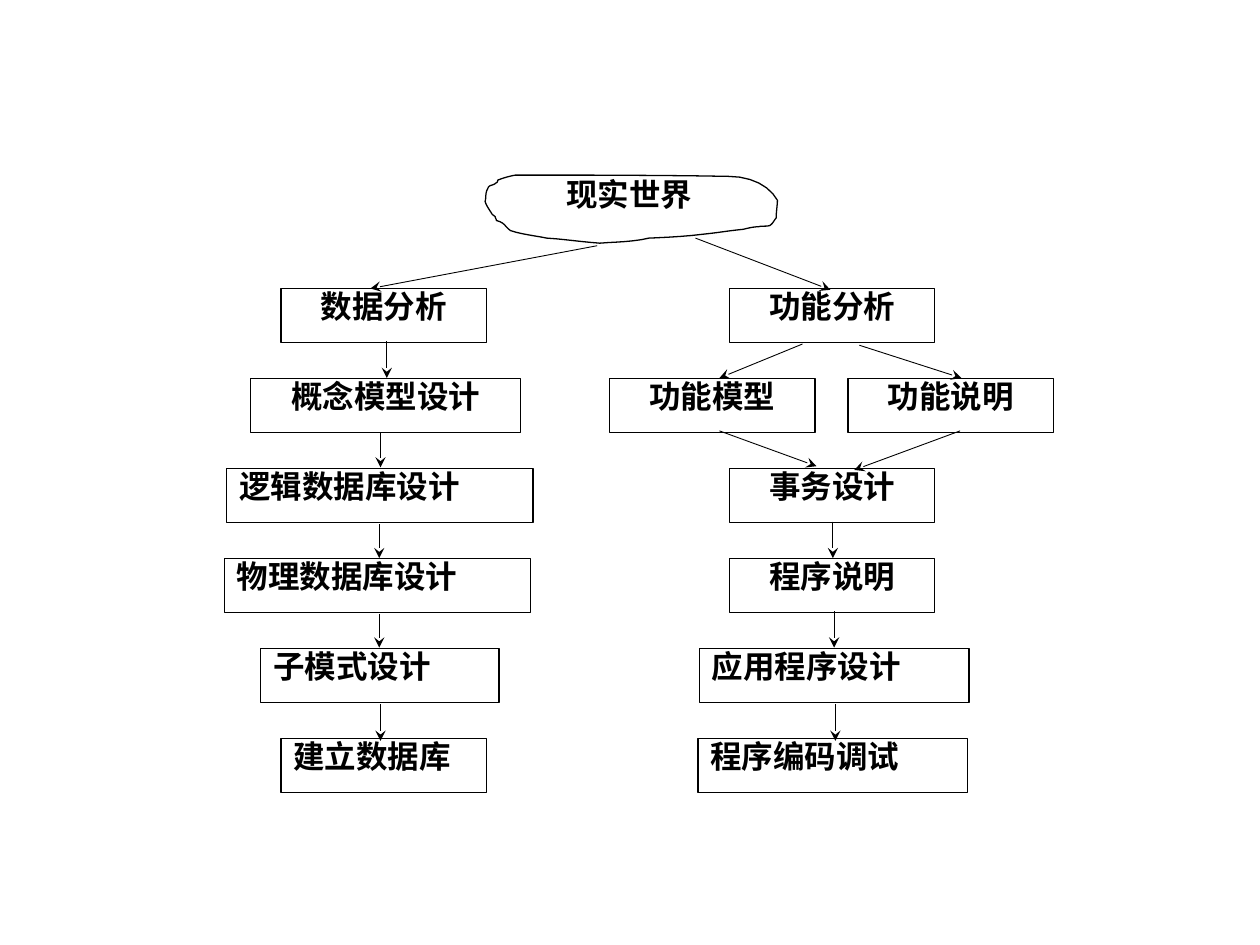
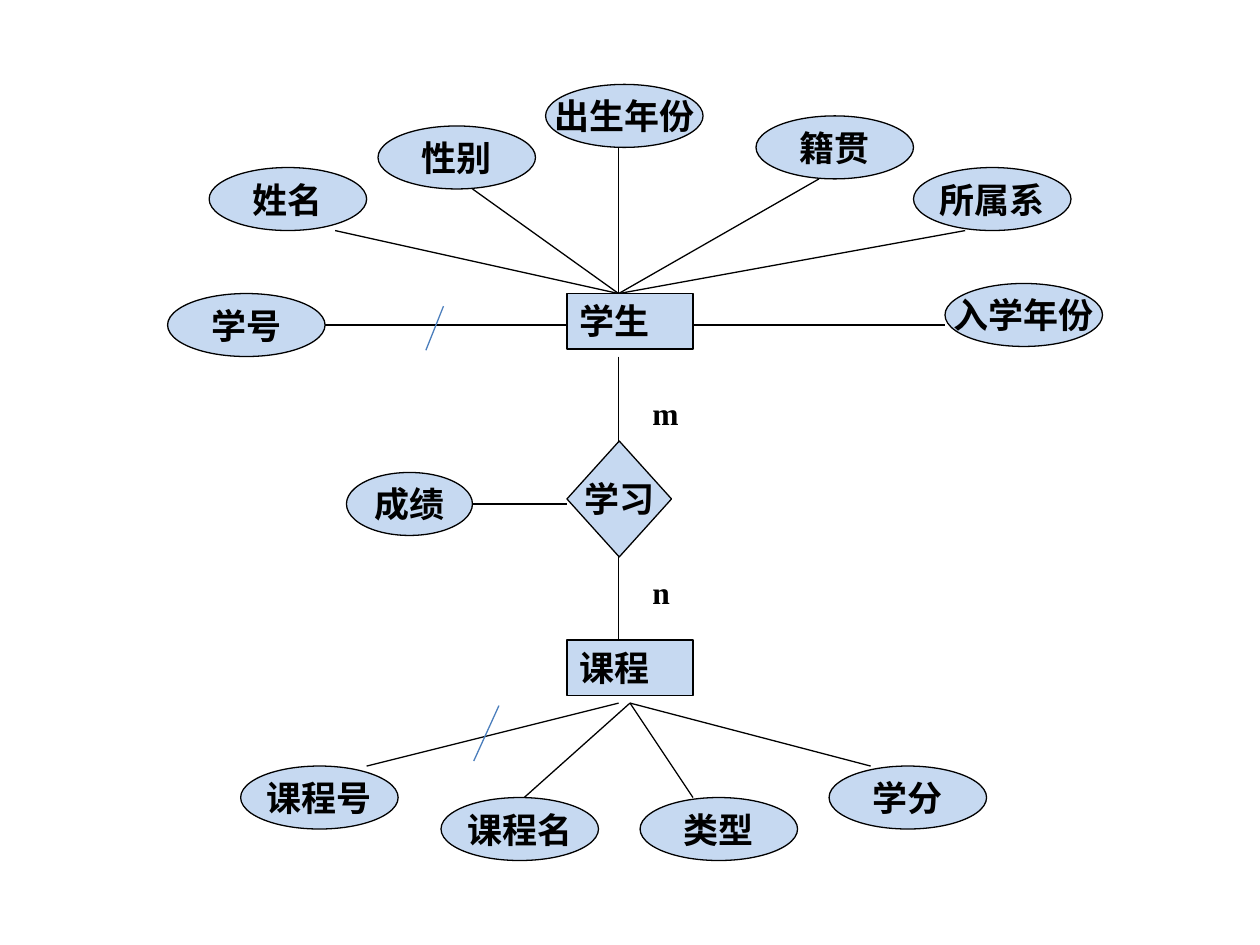
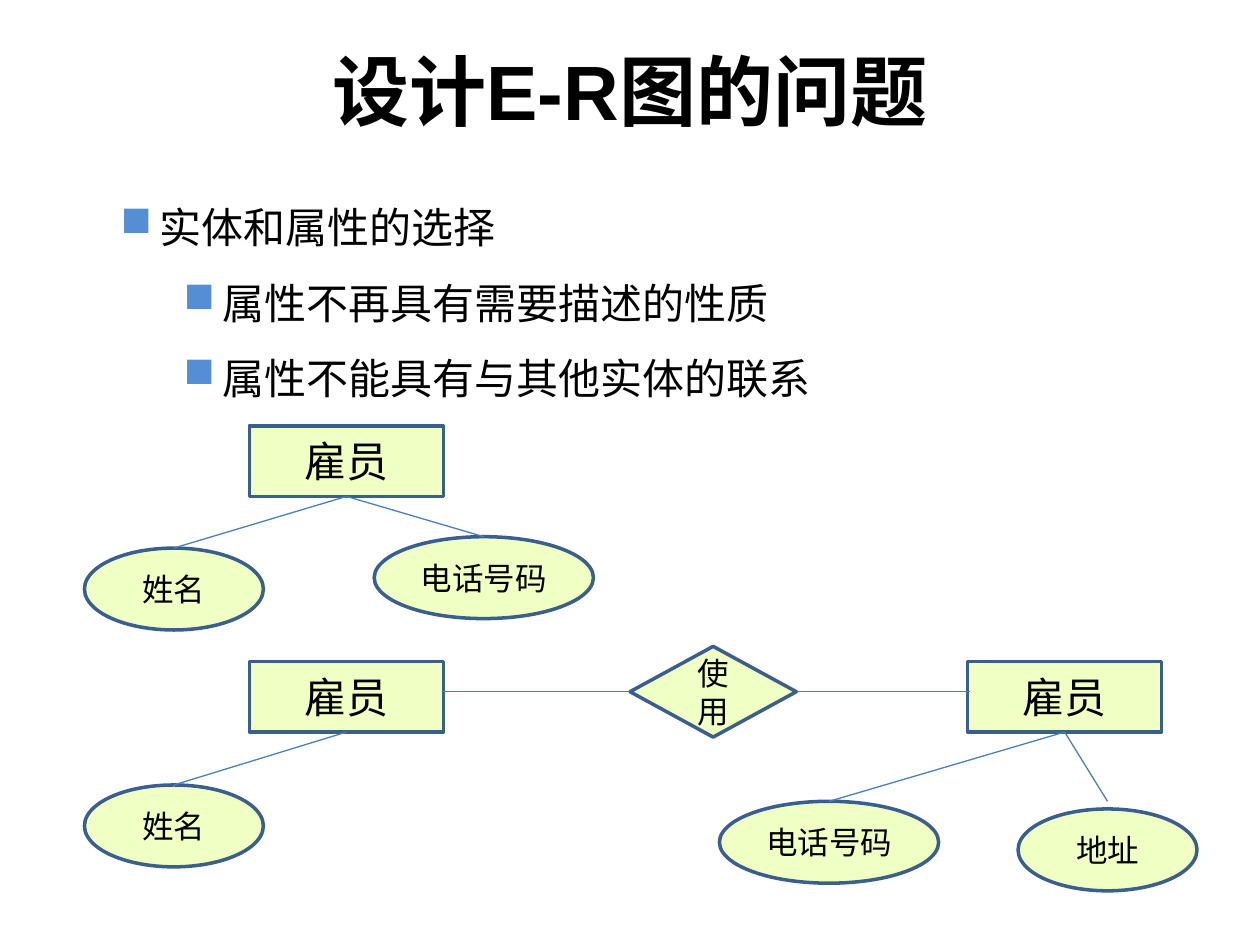
from dataclasses import dataclass, replace
from typing import NamedTuple, Optional

from lxml import etree
from pptx import Presentation
from pptx.dml.color import RGBColor
from pptx.enum.shapes import MSO_CONNECTOR, MSO_SHAPE
from pptx.enum.text import MSO_ANCHOR, PP_ALIGN
from pptx.oxml.ns import qn
from pptx.util import Inches, Pt

RECT, ELLIPSE, DIAMOND = MSO_SHAPE.RECTANGLE, MSO_SHAPE.OVAL, MSO_SHAPE.DIAMOND
STRAIGHT = MSO_CONNECTOR.STRAIGHT
LEFT, CENTER, JUSTIFY = PP_ALIGN.LEFT, PP_ALIGN.CENTER, PP_ALIGN.JUSTIFY
TOP, MIDDLE = MSO_ANCHOR.TOP, MSO_ANCHOR.MIDDLE

BLACK, BLUE, BULLET_BLUE = "000000", "4B7EBC", "558ED5"
PALE_BLUE, PALE_GREEN, NAVY = "C6D9F1", "F0FFC3", "3A5F8C"
SERIF, SANS, TITLE_FONT = "Times New Roman", "Calibri", "Arial"


class Point(NamedTuple):
    x: float
    y: float


@dataclass(frozen=True)
class TextStyle:
    font: str = SERIF
    size: int = 18
    bold: bool = False
    align: PP_ALIGN = CENTER
    anchor: MSO_ANCHOR = TOP
    spacing: float = 1.0
    wrap: bool = True


@dataclass(frozen=True)
class NodeStyle:
    text: TextStyle
    shape: MSO_SHAPE = RECT
    fill: Optional[str] = None
    line: str = BLACK
    weight: float = 0.75


@dataclass(frozen=True)
class Node:
    text: str
    left: float
    top: float
    width: float
    height: float

    @property
    def top_center(self) -> Point:
        return Point(self.left + self.width / 2, self.top)

    @property
    def bottom_center(self) -> Point:
        return Point(self.left + self.width / 2, self.top + self.height)


class Link(NamedTuple):
    start: Point
    end: Point
    weight: float = 0.75


STEP_TEXT = TextStyle(bold=True, spacing=0.8)
STEP = NodeStyle(STEP_TEXT)
STEP_JUSTIFIED = NodeStyle(replace(STEP_TEXT, align=JUSTIFY))

ER_TEXT = TextStyle(size=20, bold=True, anchor=MIDDLE, wrap=False)
ER_ENTITY = NodeStyle(TextStyle(size=20, bold=True, align=LEFT), fill=PALE_BLUE)
ER_ATTRIBUTE = NodeStyle(ER_TEXT, ELLIPSE, PALE_BLUE)
ER_RELATION = NodeStyle(ER_TEXT, DIAMOND, PALE_BLUE)
CARDINALITY = TextStyle(bold=True, align=LEFT)

ISSUE_TEXT = TextStyle(SANS, anchor=MIDDLE)
ISSUE_ENTITY = NodeStyle(replace(ISSUE_TEXT, size=24), RECT, PALE_GREEN, NAVY, 2)
ISSUE_ATTRIBUTE = NodeStyle(ISSUE_TEXT, ELLIPSE, PALE_GREEN, NAVY, 2)
ISSUE_RELATION = NodeStyle(ISSUE_TEXT, DIAMOND, PALE_GREEN, NAVY, 2)
TITLE = TextStyle(TITLE_FONT, 44, True)
BULLETS = TextStyle(size=24, align=LEFT, spacing=1.5)


def rgb(color: str) -> RGBColor:
    return RGBColor.from_string(color)


def write_paragraph(paragraph, text: str, style: TextStyle) -> None:
    paragraph.alignment = style.align
    if style.spacing != 1.0:
        paragraph.line_spacing = style.spacing
    run = paragraph.add_run()
    run.text = text
    run.font.name = style.font
    run.font.size = Pt(style.size)
    run.font.bold = style.bold
    run.font.color.rgb = rgb(BLACK)


def write_frame(frame, text: str, style: TextStyle) -> None:
    frame.word_wrap = style.wrap
    frame.vertical_anchor = style.anchor
    write_paragraph(frame.paragraphs[0], text, style)


def paint(shape, fill: Optional[str], line: str, weight: float) -> None:
    shape.shadow.inherit = False
    if fill:
        shape.fill.solid()
        shape.fill.fore_color.rgb = rgb(fill)
    else:
        shape.fill.background()
    shape.line.color.rgb = rgb(line)
    shape.line.width = Pt(weight)


def box(node: Node) -> list[int]:
    return [Inches(v) for v in (node.left, node.top, node.width, node.height)]


def add_node(slide, node: Node, style: NodeStyle) -> None:
    shape = slide.shapes.add_shape(style.shape, *box(node))
    paint(shape, style.fill, style.line, style.weight)
    write_frame(shape.text_frame, node.text, style.text)


def add_label(slide, node: Node, style: TextStyle) -> None:
    write_frame(slide.shapes.add_textbox(*box(node)).text_frame, node.text, style)


def add_link(slide, link: Link, color: str = BLACK, arrow: bool = False) -> None:
    ends = [Inches(v) for v in (*link.start, *link.end)]
    connector = slide.shapes.add_connector(STRAIGHT, *ends)
    connector.line.color.rgb = rgb(color)
    connector.line.width = Pt(link.weight)
    properties = connector._element.spPr
    if arrow:
        etree.SubElement(properties.find(qn("a:ln")), qn("a:tailEnd"), type="stealth")
    etree.SubElement(properties, qn("a:effectLst"))


def bezier(points: list[Point], steps: int = 6) -> list[Point]:
    """Sample a chain of cubic curves: a start point, then three points a curve."""
    samples = []
    for first in range(0, len(points) - 1, 3):
        controls = points[first:first + 4]
        for step in range(1, steps + 1):
            t = step / steps
            weights = ((1 - t) ** 3, 3 * t * (1 - t) ** 2, 3 * t * t * (1 - t), t ** 3)
            samples.append(Point(
                sum(w * p.x for w, p in zip(weights, controls)),
                sum(w * p.y for w, p in zip(weights, controls)),
            ))
    return samples


def add_cloud(slide, outline: list[Point]) -> None:
    start = outline[0]
    builder = slide.shapes.build_freeform(Inches(start.x), Inches(start.y))
    builder.add_line_segments([(Inches(p.x), Inches(p.y)) for p in bezier(outline)])
    paint(builder.convert_to_shape(), None, BLACK, 0.75)


def add_bullet(paragraph, text: str, level: int) -> None:
    write_paragraph(paragraph, text, BULLETS)
    paragraph.level = level
    properties = paragraph._p.get_or_add_pPr()
    properties.set("marL", str(Inches(0.31 + 0.5 * level)))
    properties.set("indent", str(Inches(-0.31)))
    color = etree.SubElement(properties, qn("a:buClr"))
    etree.SubElement(color, qn("a:srgbClr"), val=BULLET_BLUE)
    etree.SubElement(properties, qn("a:buChar"), char="■")


def build_design_flow(slide) -> None:
    outline = [Point(*p) for p in (
        (3.95, 1.43), (4, 1.41), (4.04, 1.4), (4.09, 1.39),
        (4.65, 1.39), (5.22, 1.39), (5.78, 1.4),
        (5.97, 1.4), (6.11, 1.48), (6.17, 1.59),
        (6.17, 1.63), (6.16, 1.68), (6.16, 1.73),
        (6.15, 1.74), (6.13, 1.78), (6.11, 1.79),
        (6.08, 1.8), (6.05, 1.79), (6.02, 1.8),
        (5.98, 1.8), (5.94, 1.81), (5.9, 1.82),
        (5.79, 1.83), (5.68, 1.85), (5.57, 1.86),
        (5.43, 1.88), (5.15, 1.89), (5.15, 1.89),
        (5.03, 1.92), (4.89, 1.92), (4.76, 1.93),
        (4.62, 1.92), (4.49, 1.9), (4.34, 1.89),
        (4.24, 1.87), (4.14, 1.86), (4.05, 1.83),
        (4, 1.79), (4.01, 1.77), (3.94, 1.75),
        (3.94, 1.74), (3.93, 1.73), (3.93, 1.72),
        (3.92, 1.71), (3.9, 1.7), (3.9, 1.69),
        (3.88, 1.66), (3.86, 1.63), (3.85, 1.6),
        (3.86, 1.57), (3.85, 1.53), (3.87, 1.5),
        (3.88, 1.46), (3.91, 1.48), (3.94, 1.45),
        (3.95, 1.45), (3.95, 1.43), (3.95, 1.43),
    )]
    add_cloud(slide, outline)
    add_label(slide, Node("现实世界", 4.21, 1.4, 1.57, 0.52), STEP_TEXT)

    steps = [  # text, row, left, width, style
        ("数据分析", 0, 2.23, 1.63, STEP),
        ("概念模型设计", 1, 1.99, 2.14, STEP),
        ("逻辑数据库设计", 2, 1.8, 2.43, STEP_JUSTIFIED),
        ("物理数据库设计", 3, 1.78, 2.43, STEP_JUSTIFIED),
        ("子模式设计", 4, 2.07, 1.89, STEP_JUSTIFIED),
        ("建立数据库", 5, 2.23, 1.63, STEP_JUSTIFIED),
        ("功能分析", 0, 5.79, 1.63, STEP),
        ("功能模型", 1, 4.84, 1.63, STEP),
        ("功能说明", 1, 6.73, 1.63, STEP),
        ("事务设计", 2, 5.79, 1.63, STEP),
        ("程序说明", 3, 5.79, 1.63, STEP),
        ("应用程序设计", 4, 5.55, 2.14, STEP_JUSTIFIED),
        ("程序编码调试", 5, 5.54, 2.14, STEP_JUSTIFIED),
    ]
    first_row, last_row = 2.29, 5.86
    row_pitch = (last_row - first_row) / 5
    for text, row, left, width, style in steps:
        add_node(slide, Node(text, left, first_row + row * row_pitch, width, 0.43), style)

    branches = [
        ((4.74, 1.95), (2.94, 2.29)), ((5.52, 1.89), (6.59, 2.3)),
        ((6.37, 2.73), (5.71, 3)), ((6.82, 2.74), (7.63, 3)),
        ((5.71, 3.42), (6.48, 3.7)), ((7.62, 3.42), (6.78, 3.73)),
    ]
    drops = [  # x, top, bottom
        (3.07, 2.71, 3), (3.02, 3.44, 3.71), (3.01, 4.16, 4.43),
        (3.01, 4.87, 5.14), (3.02, 5.59, 5.88),
        (6.61, 4.14, 4.43), (6.62, 4.85, 5.14),
    ]
    links = [Link(Point(*start), Point(*end), 0.5) for start, end in branches]
    links += [Link(Point(x, top), Point(x, bottom), 0.5) for x, top, bottom in drops]
    links.append(Link(Point(6.63, 5.59), Point(6.63, 5.88)))
    for link in links:
        add_link(slide, link, arrow=True)


def build_student_course(slide) -> None:
    student, course, course_left = Point(4.91, 2.33), Point(5, 5.58), Point(4.91, 5.58)
    attributes = [  # text, left, top, link start, link end
        ("学号", 1.33, 2.33, (4.5, 2.58), (2.58, 2.58)),
        ("姓名", 1.66, 1.33, student, (2.66, 1.83)),
        ("性别", 3, 1, student, (3.75, 1.5)),
        ("出生年份", 4.33, 0.67, student, (4.91, 1.17)),
        ("籍贯", 6, 0.92, student, (6.5, 1.42)),
        ("所属系", 7.25, 1.33, student, (7.66, 1.83)),
        ("入学年份", 7.5, 2.25, (5.5, 2.58), (7.5, 2.58)),
        ("课程号", 1.91, 6.08, course_left, (2.91, 6.08)),
        ("课程名", 3.5, 6.33, course, (4.16, 6.33)),
        ("类型", 5.08, 6.33, course, (5.5, 6.33)),
        ("学分", 6.58, 6.08, course, (6.91, 6.08)),
    ]
    for text, left, top, start, end in attributes:
        add_link(slide, Link(Point(*start), Point(*end)))
        add_node(slide, Node(text, left, top, 1.25, 0.5), ER_ATTRIBUTE)

    for start, end in (((4.91, 2.83), (4.91, 3.5)), ((4.91, 4.42), (4.91, 5.08)),
                       ((3.75, 4), (4.5, 4))):
        add_link(slide, Link(Point(*start), Point(*end)))
    add_node(slide, Node("成绩", 2.75, 3.75, 1, 0.5), ER_ATTRIBUTE)
    add_node(slide, Node("学习", 4.5, 3.5, 0.83, 0.92), ER_RELATION)
    for text, top in (("学生", 2.33), ("课程", 5.08)):
        add_node(slide, Node(text, 4.5, top, 1, 0.44), ER_ENTITY)
    for text, top in (("m", 3.08), ("n", 4.5)):
        add_label(slide, Node(text, 5.08, top, 0.42, 0.5), CARDINALITY)

    for start, end in (((3.38, 2.78), (3.52, 2.43)), ((3.76, 6.04), (3.96, 5.6))):
        add_link(slide, Link(Point(*start), Point(*end)), BLUE)


def build_design_issues(slide) -> None:
    add_label(slide, Node("设计E-R图的问题", 0.5, 0.3, 9, 1.25), TITLE)

    frame = slide.shapes.add_textbox(
        Inches(0.86), Inches(1.35), Inches(7.69), Inches(1.84)).text_frame
    frame.word_wrap = True
    issues = [("实体和属性的选择", 0), ("属性不再具有需要描述的性质", 1),
              ("属性不能具有与其他实体的联系", 1)]
    for index, (text, level) in enumerate(issues):
        paragraph = frame.add_paragraph() if index else frame.paragraphs[0]
        add_bullet(paragraph, text, level)

    def attribute(text: str, left: float, top: float) -> Node:
        return Node(text, left, top, 1.74 if len(text) > 2 else 1.42, 0.65)

    link_gap = 0.06
    entities = [  # left, top, attributes with the gap above each
        (1.98, 3.38, [(attribute("姓名", 0.67, 4.35), 0),
                      (attribute("电话号码", 2.97, 4.26), 0)]),
        (1.98, 5.25, [(attribute("姓名", 0.67, 6.23), 0)]),
        (7.68, 5.25, [(attribute("电话号码", 5.71, 6.36), 0),
                      (attribute("地址", 8.08, 6.42), link_gap)]),
    ]
    for left, top, owned in entities:
        entity = Node("雇员", left, top, 1.54, 0.56)
        add_node(slide, entity, ISSUE_ENTITY)
        for node, gap in owned:
            add_node(slide, node, ISSUE_ATTRIBUTE)
            end = Point(node.top_center.x, node.top - gap)
            add_link(slide, Link(entity.bottom_center, end), BLUE)

    add_node(slide, Node("使用", 5, 5.13, 1.32, 0.72), ISSUE_RELATION)
    for start, end in ((5, 3.51), (7.7, 6.33)):
        add_link(slide, Link(Point(start, 5.49), Point(end, 5.49)), BLUE)


def main() -> None:
    presentation = Presentation()
    presentation.slide_width, presentation.slide_height = Inches(10), Inches(7.5)
    blank = presentation.slide_layouts[6]
    for build in (build_design_flow, build_student_course, build_design_issues):
        build(presentation.slides.add_slide(blank))
    presentation.save("out.pptx")


if __name__ == "__main__":
    main()
